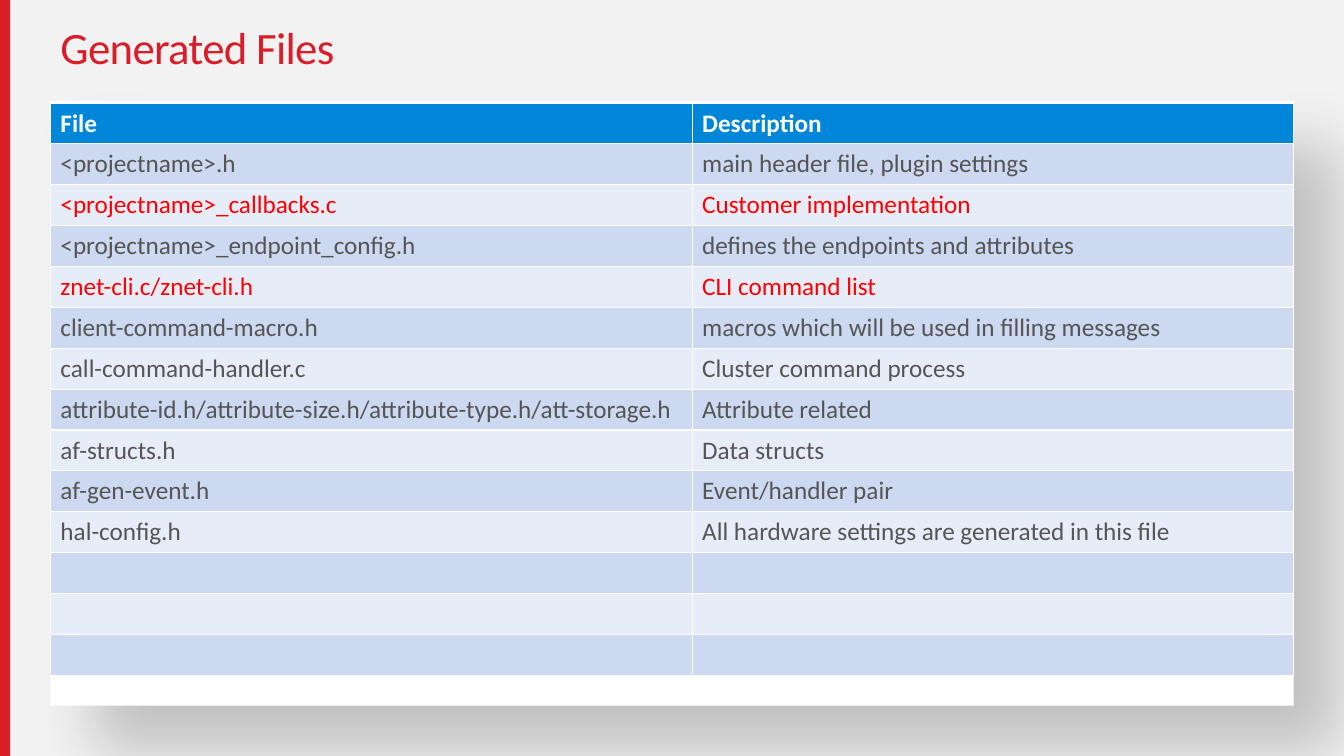
from lxml import etree
from pptx import Presentation
from pptx.dml.color import RGBColor
from pptx.enum.shapes import MSO_SHAPE
from pptx.enum.text import MSO_ANCHOR, PP_ALIGN
from pptx.oxml.ns import qn
from pptx.util import Pt

RECTANGLE = MSO_SHAPE.RECTANGLE
MIDDLE = MSO_ANCHOR.MIDDLE
LEFT = PP_ALIGN.LEFT

# Content: file, description, text colour
TITLE = "Generated Files"
ROWS = [
    ("File", "Description", "white"),
    ("<projectname>.h", "main header file, plugin settings", "text"),
    ("<projectname>_callbacks.c", "Customer implementation", "highlight"),
    ("<projectname>_endpoint_config.h", "defines the endpoints and attributes", "text"),
    ("znet-cli.c/znet-cli.h", "CLI command list", "highlight"),
    ("client-command-macro.h", "macros which will be used in filling messages", "text"),
    ("call-command-handler.c", "Cluster command process", "text"),
    ("attribute-id.h/attribute-size.h/attribute-type.h/att-storage.h",
     "Attribute related", "text"),
    ("af-structs.h", "Data structs", "text"),
    ("af-gen-event.h", "Event/handler pair", "text"),
    ("hal-config.h", "All hardware settings are generated in this file", "text"),
    ("", "", "text"),
    ("", "", "text"),
    ("", "", "text"),
]
COLORS = {
    "page": "F2F2F2", "accent": "D91E2A", "white": "FFFFFF", "black": "000000",
    "header": "0086D9", "odd": "CCD9F1", "even": "E7EDF8",
    "text": "555555", "highlight": "FF0000",
}
FONT = "Calibri"

# Layout in points
PAGE_WIDTH, PAGE_HEIGHT = 960, 540
MARGIN, TITLE_HEIGHT = 36, 72
PANEL_WIDTH, PANEL_HEIGHT = PAGE_WIDTH - 2 * MARGIN, 432
TABLE_TOP, ROW_HEIGHT = 73.6, 29.2
FILE_WIDTH = 458.4


def rgb(name):
    return RGBColor.from_string(COLORS[name])


def write(frame, text, size=18, color="text", bold=False):
    para = frame.paragraphs[0]
    para.alignment = LEFT
    span = para.add_run()
    span.text = text
    span.font.name = FONT
    span.font.size = Pt(size)
    span.font.bold = bold
    span.font.color.rgb = rgb(color)
    return para, span


def add_box(page, left, top, width, height, color):
    box = page.shapes.add_shape(RECTANGLE, Pt(left), Pt(top), Pt(width), Pt(height))
    box.fill.solid()
    box.fill.fore_color.rgb = rgb(color)
    box.line.fill.background()
    box.shadow.inherit = False
    return box


def add_shadow(box, distance, blur, degrees, opacity):
    effects = box.element.spPr.find(qn("a:effectLst"))
    shadow = etree.SubElement(
        effects, qn("a:outerShdw"), blurRad=str(Pt(blur)), dist=str(Pt(distance)),
        dir=str(degrees * 60000), algn="tl", rotWithShape="0")
    color = etree.SubElement(shadow, qn("a:srgbClr"), val=COLORS["black"])
    etree.SubElement(color, qn("a:alpha"), val=str(opacity * 1000))


deck = Presentation()
deck.slide_width, deck.slide_height = Pt(PAGE_WIDTH), Pt(PAGE_HEIGHT)
page = deck.slides.add_slide(deck.slide_layouts[5])
page.background.fill.solid()
page.background.fill.fore_color.rgb = rgb("page")

# Side bar and white panel
add_box(page, 0, 0, 7.2, PAGE_HEIGHT, "accent")
panel = add_box(page, MARGIN, TITLE_HEIGHT, PANEL_WIDTH, PANEL_HEIGHT, "white")
add_shadow(panel, distance=45, blur=45, degrees=45, opacity=20)

# Title
title = page.shapes.title
title.left, title.top = Pt(MARGIN), Pt(0)
title.width, title.height = Pt(PANEL_WIDTH), Pt(TITLE_HEIGHT)
title.text_frame.vertical_anchor = MIDDLE
para, span = write(title.text_frame, TITLE, size=32, color="accent")
para.line_spacing = 0.9
span.font._element.set("spc", "-50")

# Table; its default style draws the white rules
table = page.shapes.add_table(
    len(ROWS), 2, Pt(MARGIN), Pt(TABLE_TOP),
    Pt(PANEL_WIDTH), Pt(ROW_HEIGHT * len(ROWS))).table
table.columns[0].width = Pt(FILE_WIDTH)
table.columns[1].width = Pt(PANEL_WIDTH - FILE_WIDTH)
for number, (file, description, color) in enumerate(ROWS):
    table.rows[number].height = Pt(ROW_HEIGHT)
    band = "header" if number == 0 else ("even", "odd")[number % 2]
    for column, text in enumerate((file, description)):
        cell = table.cell(number, column)
        cell.fill.solid()
        cell.fill.fore_color.rgb = rgb(band)
        if text:
            write(cell.text_frame, text, color=color, bold=number == 0)

deck.save("out.pptx")
